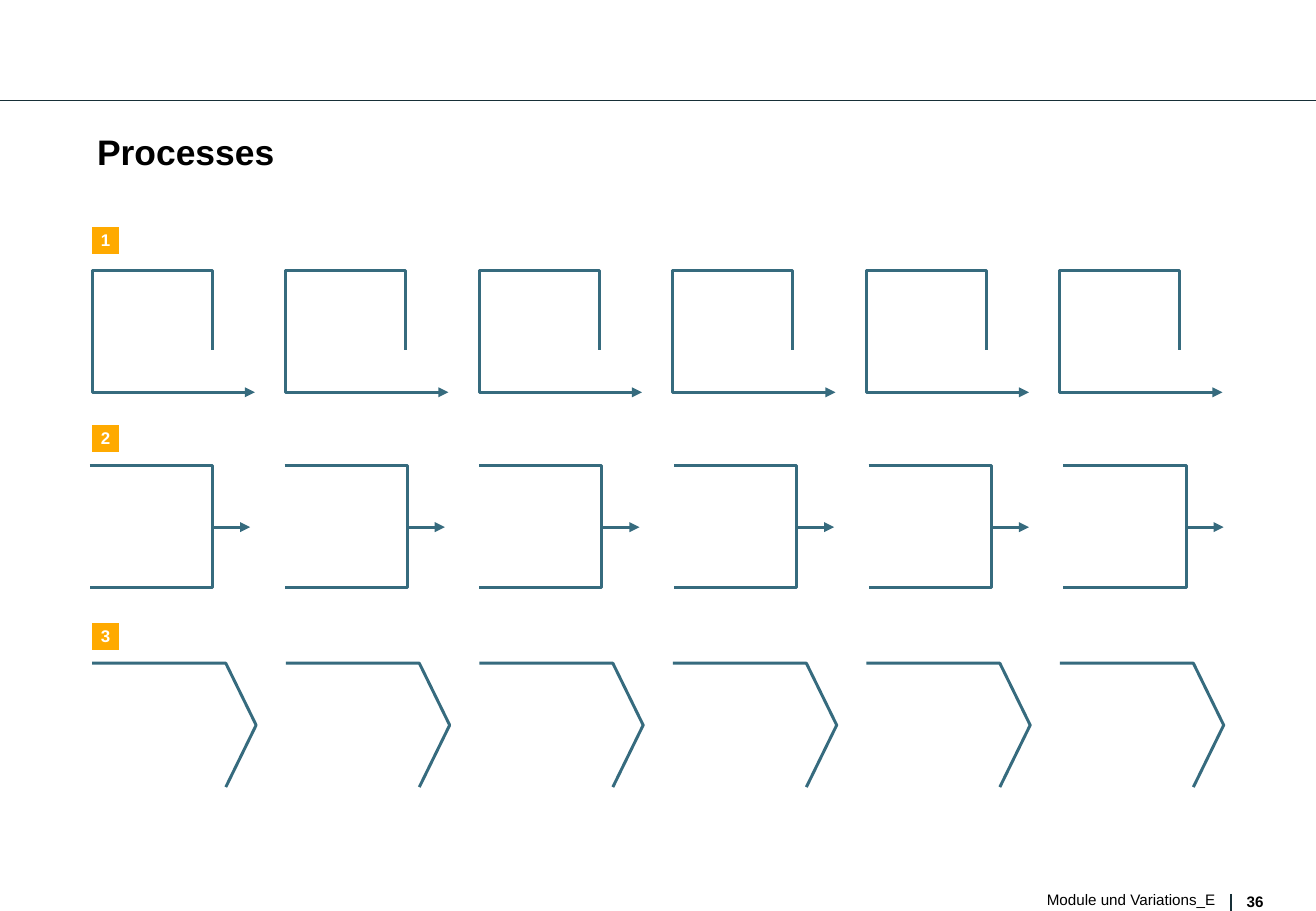
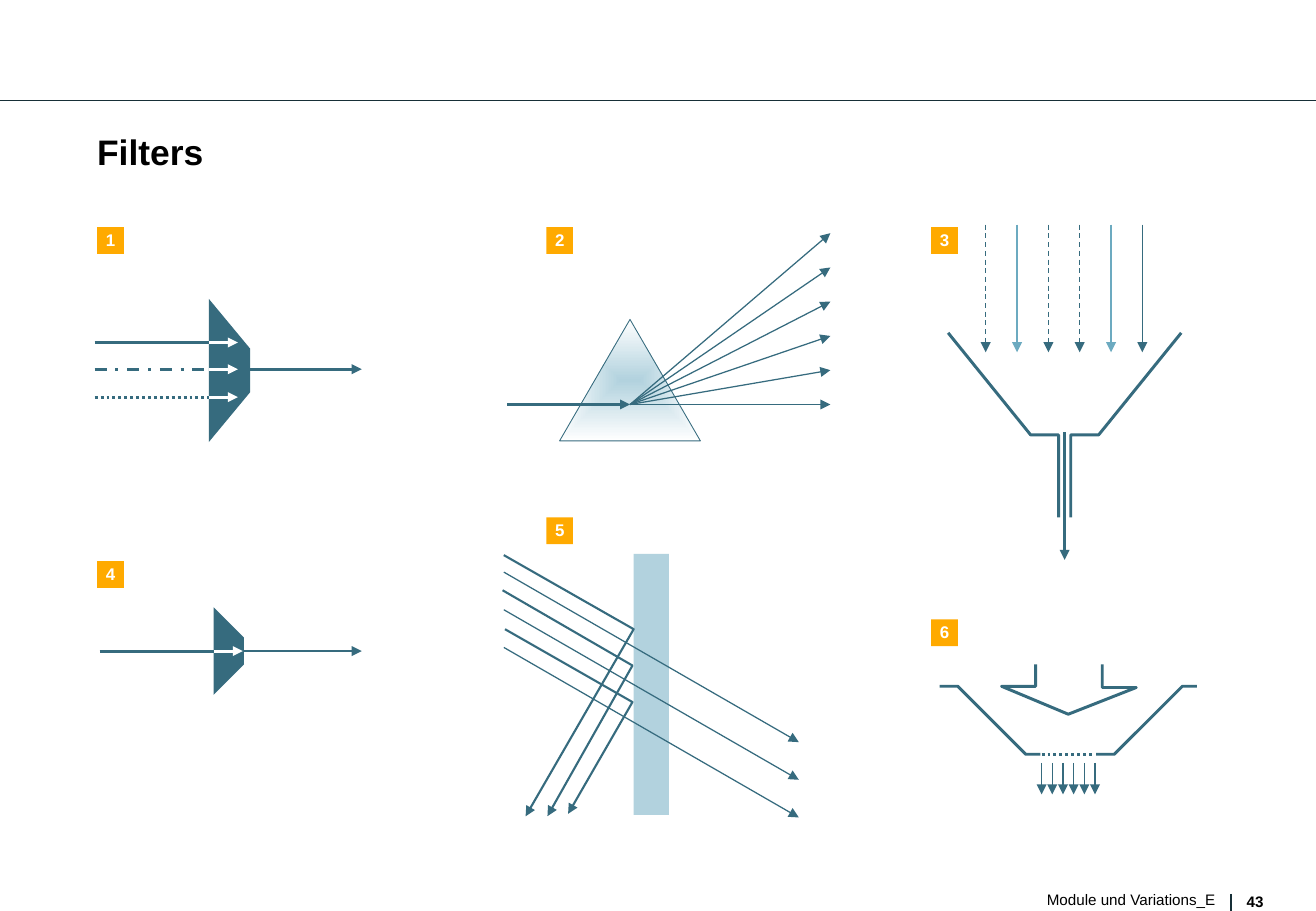
from dataclasses import dataclass, replace
from typing import Optional, Sequence

from lxml.etree import SubElement
from pptx import Presentation
from pptx.dml.color import RGBColor
from pptx.enum.dml import MSO_LINE
from pptx.enum.shapes import MSO_CONNECTOR, MSO_SHAPE
from pptx.enum.text import MSO_ANCHOR, MSO_AUTO_SIZE, PP_ALIGN
from pptx.oxml.ns import qn
from pptx.util import Emu, Inches, Pt

COLUMNS, ROWS = 10.84, 7.5
PAGE_WIDTH, PAGE_HEIGHT = Inches(COLUMNS), Inches(ROWS)

TEAL = RGBColor(0x36, 0x6B, 0x7E)
LIGHT_TEAL = RGBColor(0x6C, 0xAA, 0xC0)
PALE_TEAL = RGBColor(0xB2, 0xD2, 0xDE)
DARK = RGBColor(0x17, 0x2F, 0x37)
ORANGE = RGBColor(0xFF, 0xAA, 0x00)
WHITE = RGBColor(0xFF, 0xFF, 0xFF)
BLACK = RGBColor(0x00, 0x00, 0x00)

FONT = "Arial"
FOOTER = "Module und Variations_E"
BADGE_SIDE = 0.22
TITLE_ONLY = 5

Point = tuple[float, float]


@dataclass(frozen=True)
class Stroke:
    color: RGBColor = TEAL
    width: float = 1.75
    dash: Optional[MSO_LINE] = None
    arrow: bool = False


@dataclass(frozen=True)
class Line:
    start: Point
    end: Point
    stroke: Stroke


@dataclass(frozen=True)
class Badge:
    label: str
    column: float
    row: float


@dataclass(frozen=True)
class ProcessRow:
    top: float
    left: float
    span: float
    outline: tuple[Point, ...]
    outline_stroke: Stroke
    pointer: Optional[tuple[Point, Point]] = None


RULE = Stroke(DARK, 0.75)
BOLD = Stroke()
BOLD_ARROW = Stroke(arrow=True)
THIN_ARROW = Stroke(width=0.75, arrow=True)
DASHED_ARROW = replace(THIN_ARROW, dash=MSO_LINE.DASH)
LIGHT_ARROW = replace(THIN_ARROW, color=LIGHT_TEAL)
WHITE_ARROW = replace(BOLD_ARROW, color=WHITE)
BEAM_ARROW = replace(BOLD_ARROW, width=1.25)


def across(columns: float) -> Emu:
    return Emu(round(PAGE_WIDTH * columns / COLUMNS))


def down(rows: float) -> Emu:
    return Emu(round(PAGE_HEIGHT * rows / ROWS))


def area(left: float, top: float, width: float, height: float) -> tuple:
    return across(left), down(top), across(width), down(height)


def write(box, text: str, *, size: float, color=BLACK, bold=False,
          align=PP_ALIGN.LEFT, anchor=MSO_ANCHOR.TOP, spacing=None, wrap=True) -> None:
    frame = box.text_frame
    frame.margin_left = frame.margin_top = frame.margin_right = frame.margin_bottom = 0
    frame.auto_size = MSO_AUTO_SIZE.NONE
    frame.word_wrap = wrap
    frame.vertical_anchor = anchor
    para = frame.paragraphs[0]
    para.alignment = align
    para.line_spacing = spacing
    span = para.add_run()
    span.text = text
    span.font.name = FONT
    span.font.size = Pt(size)
    span.font.bold = bold
    span.font.color.rgb = color


def apply_stroke(shape, stroke: Stroke) -> None:
    shape.line.color.rgb = stroke.color
    shape.line.width = Pt(stroke.width)
    if stroke.dash is not None:
        shape.line.dash_style = stroke.dash
    if stroke.arrow:
        SubElement(shape.line._get_or_add_ln(), qn("a:tailEnd"), type="triangle")


def draw_line(page, line: Line) -> None:
    (start_x, start_y), (end_x, end_y) = line.start, line.end
    connector = page.shapes.add_connector(
        MSO_CONNECTOR.STRAIGHT, across(start_x), down(start_y), across(end_x), down(end_y))
    apply_stroke(connector, line.stroke)
    SubElement(connector._element.spPr, qn("a:effectLst"))


def draw_lines(page, lines: Sequence[Line]) -> None:
    for line in lines:
        draw_line(page, line)


def draw_outline(page, points: Sequence[Point], *, stroke: Optional[Stroke] = None,
                 fill: Optional[RGBColor] = None) -> None:
    corners = [(across(x), down(y)) for x, y in points]
    builder = page.shapes.build_freeform(*corners[0])
    builder.add_line_segments(corners[1:], close=fill is not None)
    shape = builder.convert_to_shape()
    shape.shadow.inherit = False
    if fill is None:
        shape.fill.background()
    else:
        shape.fill.solid()
        shape.fill.fore_color.rgb = fill
    if stroke is None:
        shape.line.fill.background()
    else:
        apply_stroke(shape, stroke)


def draw_block(page, left: float, top: float, width: float, height: float, fill: RGBColor):
    block = page.shapes.add_shape(MSO_SHAPE.RECTANGLE, *area(left, top, width, height))
    block.shadow.inherit = False
    block.fill.solid()
    block.fill.fore_color.rgb = fill
    block.line.fill.background()
    return block


def draw_badges(page, badges: Sequence[Badge]) -> None:
    for badge in badges:
        block = draw_block(page, badge.column, badge.row, BADGE_SIDE, BADGE_SIDE, ORANGE)
        write(block, badge.label, size=10, color=WHITE, bold=True, align=PP_ALIGN.CENTER,
              anchor=MSO_ANCHOR.MIDDLE, spacing=0.93, wrap=False)


def add_page(deck, title: str, number: int):
    page = deck.slides.add_slide(deck.slide_layouts[TITLE_ONLY])
    draw_lines(page, [Line((0, 0.83), (COLUMNS, 0.83), RULE),
                      Line((10.14, 7.36), (10.14, ROWS), RULE)])
    heading = page.shapes.title
    heading.left, heading.top, heading.width, heading.height = area(0.8, 1.1, 9.36, 0.72)
    write(heading, title, size=21, bold=True, spacing=0.93)
    number_box = page.shapes.add_textbox(*area(10.27, 7.35, 0.17, 0.14))
    write(number_box, str(number), size=9, bold=True)
    footer_box = page.shapes.add_textbox(*area(6.22, 7.33, 3.79, 0.15))
    write(footer_box, FOOTER, size=9, align=PP_ALIGN.RIGHT, spacing=Pt(11))
    return page


def shifted(points: Sequence[Point], left: float, top: float) -> list[Point]:
    return [(left + x, top + y) for x, y in points]


def build_processes(deck) -> None:
    page = add_page(deck, "Processes", 36)
    steps = 6
    process_rows = (
        ProcessRow(2.23, 0.76, 7.97, ((0.99, 0.65), (0.99, 0), (0, 0), (0, 1), (1.34, 1)),
                   BOLD_ARROW),
        ProcessRow(3.83, 0.74, 8.02, ((0, 0), (1.01, 0), (1.01, 1.01), (0, 1.01)),
                   BOLD, ((1.01, 0.51), (1.32, 0.51))),
        ProcessRow(5.46, 0.76, 7.97, ((0, 0), (1.1, 0), (1.35, 0.51), (1.1, 1.02)), BOLD),
    )
    for process in process_rows:
        for step in range(steps):
            left = process.left + step * process.span / (steps - 1)
            draw_outline(page, shifted(process.outline, left, process.top),
                         stroke=process.outline_stroke)
            if process.pointer:
                start, end = shifted(process.pointer, left, process.top)
                draw_line(page, Line(start, end, BOLD_ARROW))
    draw_badges(page, [Badge(str(index + 1), 0.76, 1.87 + 1.63 * index)
                       for index in range(len(process_rows))])


def draw_plate(page, left: float, right: float, middle: float,
               outer: float, inner: float) -> None:
    draw_outline(page, [(left, middle + outer), (right, middle + inner),
                        (right, middle - inner), (left, middle - outer)], fill=TEAL)


def draw_merging_filter(page) -> None:
    inputs = ((2.82, None), (3.04, MSO_LINE.DASH_DOT), (3.27, MSO_LINE.ROUND_DOT))
    draw_line(page, Line((1.97, 3.04), (2.98, 3.04), BOLD_ARROW))
    for row, dash in inputs:
        draw_line(page, Line((0.78, row), (1.94, row), replace(BOLD_ARROW, dash=dash)))
    draw_plate(page, 1.72, 2.06, 3.05, 0.59, 0.18)
    for row, _ in inputs:
        draw_line(page, Line((1.72, row), (1.96, row), WHITE_ARROW))


def draw_reducing_filter(page) -> None:
    row = 5.36
    draw_lines(page, [Line((0.82, row), (1.98, row), BOLD_ARROW),
                      Line((2.01, row), (2.98, row), THIN_ARROW)])
    draw_plate(page, 1.76, 2.01, row, 0.36, 0.11)
    draw_line(page, Line((1.76, row), (2, row), WHITE_ARROW))


def fill_from_center(shape, center: RGBColor, edge: RGBColor) -> None:
    shape.fill.gradient()
    gradient = shape._element.spPr.find(qn("a:gradFill"))
    for child in list(gradient):
        gradient.remove(child)
    stops = SubElement(gradient, qn("a:gsLst"))
    for position, color in ((0, center), (100000, edge)):
        stop = SubElement(stops, qn("a:gs"), pos=str(position))
        SubElement(stop, qn("a:srgbClr"), val=str(color))
    shade = SubElement(gradient, qn("a:path"), path="rect")
    SubElement(shade, qn("a:fillToRect"), l="50000", t="50000", r="50000", b="50000")


def draw_prism(page) -> None:
    prism = page.shapes.add_shape(MSO_SHAPE.ISOSCELES_TRIANGLE, *area(4.61, 2.63, 1.16, 1))
    prism.shadow.inherit = False
    fill_from_center(prism, PALE_TEAL, WHITE)
    apply_stroke(prism, Stroke(width=0.5))
    focus, rays, rise = (5.19, 3.33), 6, 1.41
    draw_line(page, Line((4.18, 3.33), focus, BOLD_ARROW))
    draw_lines(page, [Line(focus, (6.84, focus[1] - rise * ray / (rays - 1)), THIN_ARROW)
                      for ray in range(rays)])


def draw_funnel(page) -> None:
    axis = 8.77
    profile = ((0.96, 2.74), (0.28, 3.58), (0.05, 3.58), (0.05, 4.26))
    for side in (-1, 1):
        draw_outline(page, [(axis + side * reach, row) for reach, row in profile], stroke=BOLD)
    draw_line(page, Line((axis, 3.56), (axis, 4.61), BOLD_ARROW))
    strokes = (DASHED_ARROW, LIGHT_ARROW, DASHED_ARROW, DASHED_ARROW, LIGHT_ARROW, THIN_ARROW)
    spacing = 1.29 / (len(strokes) - 1)
    for index, stroke in enumerate(strokes):
        column = 8.12 + index * spacing
        draw_line(page, Line((column, 1.85), (column, 2.9), stroke))


def draw_mirror(page) -> None:
    draw_block(page, 5.22, 4.56, 0.29, 2.15, PALE_TEAL)
    for index in range(3):
        row = 4.71 + 0.31 * index
        draw_line(page, Line((4.15, row), (6.58, row + 1.4), THIN_ARROW))
    for beam in (((4.15, 4.57), (5.22, 5.18), (4.33, 6.72)),
                 ((4.14, 4.86), (5.21, 5.48), (4.51, 6.72)),
                 ((4.16, 5.18), (5.21, 5.78), (4.68, 6.7))):
        draw_outline(page, beam, stroke=BEAM_ARROW)


def draw_sieve(page) -> None:
    for outline in (((7.74, 5.65), (7.89, 5.65), (8.45, 6.21), (8.57, 6.21)),
                    ((9.03, 6.21), (9.18, 6.21), (9.74, 5.65), (9.86, 5.65)),
                    ((9.08, 5.47), (9.08, 5.66), (9.36, 5.66), (8.8, 5.88),
                     (8.25, 5.65), (8.53, 5.65), (8.53, 5.47))):
        draw_outline(page, outline, stroke=BOLD)
    draw_line(page, Line((8.58, 6.21), (9.01, 6.21), replace(BOLD, dash=MSO_LINE.ROUND_DOT)))
    drops = 6
    for index in range(drops):
        column = 8.58 + 0.44 * index / (drops - 1)
        draw_line(page, Line((column, 6.28), (column, 6.54), THIN_ARROW))


def build_filters(deck) -> None:
    page = add_page(deck, "Filters", 43)
    for draw in (draw_merging_filter, draw_prism, draw_funnel,
                 draw_reducing_filter, draw_mirror, draw_sieve):
        draw(page)
    draw_badges(page, [Badge("1", 0.8, 1.87), Badge("2", 4.5, 1.87), Badge("3", 7.67, 1.87),
                       Badge("4", 0.8, 4.62), Badge("5", 4.5, 4.26), Badge("6", 7.67, 5.1)])


def main() -> None:
    deck = Presentation()
    deck.slide_width, deck.slide_height = PAGE_WIDTH, PAGE_HEIGHT
    build_processes(deck)
    build_filters(deck)
    deck.save("out.pptx")


if __name__ == "__main__":
    main()
